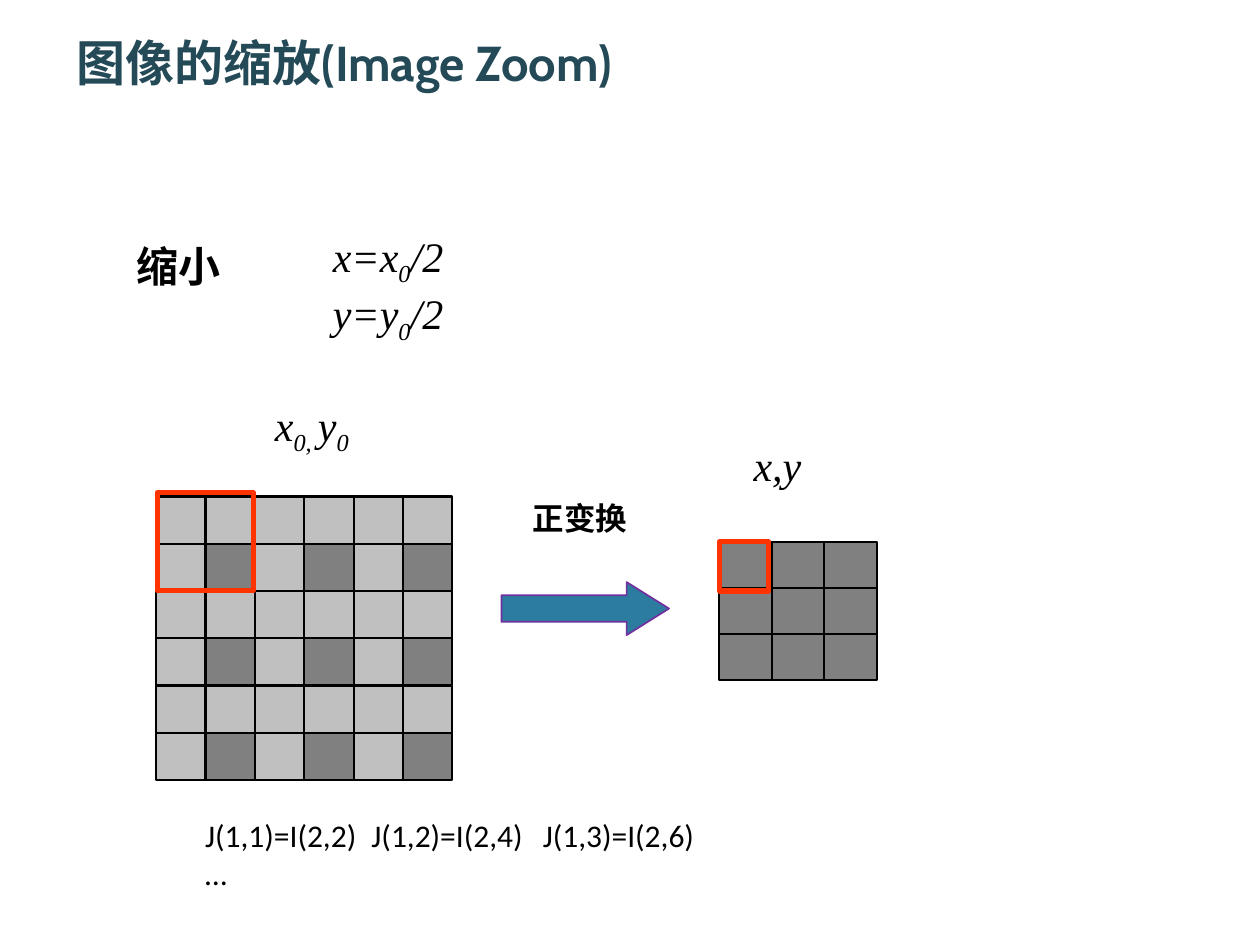
import dataclasses

import pptx
import pptx.dml.color
import pptx.enum.shapes
import pptx.enum.text
import pptx.oxml
import pptx.oxml.ns
import pptx.util

Inches = pptx.util.Inches
Align = pptx.enum.text.PP_ALIGN
Shape = pptx.enum.shapes.MSO_SHAPE

BLACK, LIGHT, DARK, RED = "000000", "C0C0C0", "808080", "FF3300"
SERIF = "Times New Roman"


@dataclasses.dataclass
class Area:
    left: float
    top: float
    width: float
    height: float

    def lengths(self):
        return [Inches(value) for value in dataclasses.astuple(self)]


@dataclasses.dataclass
class PixelGrid:
    area: Area
    count: int
    sampled_step: int  # every cell at a multiple of this step is dark


@dataclasses.dataclass
class Formula:
    area: Area
    lines: list[str]


def paint(color_format, color: str) -> None:
    color_format.rgb = pptx.dml.color.RGBColor.from_string(color)


def add_block(shapes, kind, area: Area, line: str, weight: float, fill: str | None = None):
    block = shapes.add_shape(kind, *area.lengths())
    block.shadow.inherit = False
    if fill:
        block.fill.solid()
        paint(block.fill.fore_color, fill)
    else:
        block.fill.background()
    paint(block.line.color, line)
    block.line.width = pptx.util.Pt(weight)
    return block


def draw_grid(page, grid: PixelGrid) -> None:
    group = page.shapes.add_group_shape()
    width = grid.area.width / grid.count
    height = grid.area.height / grid.count
    for row in range(grid.count):
        for column in range(grid.count):
            sampled = all((n + 1) % grid.sampled_step == 0 for n in (row, column))
            cell = Area(grid.area.left + column * width,
                        grid.area.top + row * height, width, height)
            add_block(group.shapes, Shape.RECTANGLE, cell, BLACK, 1.25,
                      DARK if sampled else LIGHT)
    if grid.sampled_step > 1:
        left, top, right = (Inches(value) for value in (
            grid.area.left, grid.area.top, grid.area.left + grid.area.width))
        edge = group.shapes.add_connector(
            pptx.enum.shapes.MSO_CONNECTOR.STRAIGHT, right, top, left, top)
        paint(edge.line.color, BLACK)
        edge.line.width = pptx.util.Pt(1.25)
        edge._element.spPr.append(pptx.oxml.parse_xml(
            f"<a:effectLst {pptx.oxml.ns.nsdecls('a')}/>"))


def write_text(box, lines: list[str], *, size: float, font: str, color: str = BLACK,
               bold: bool = False, italic: bool = False, align=Align.LEFT,
               wrap: bool = True, tabs: tuple[float, ...] = ()) -> None:
    """Fill a box; text between | marks is set as subscript."""
    frame = box.text_frame
    frame.word_wrap = wrap
    frame.auto_size = pptx.enum.text.MSO_AUTO_SIZE.NONE
    frame.vertical_anchor = pptx.enum.text.MSO_ANCHOR.TOP
    for number, line in enumerate(lines):
        para = frame.add_paragraph() if number else frame.paragraphs[0]
        if tabs:
            stops = "".join(f'<a:tab pos="{Inches(stop)}" algn="l"/>' for stop in tabs)
            para._p.get_or_add_pPr().append(pptx.oxml.parse_xml(
                f"<a:tabLst {pptx.oxml.ns.nsdecls('a')}>{stops}</a:tabLst>"))
        para.alignment = align
        for part, text in enumerate(line.split("|")):
            if not text:
                continue
            span = para.add_run()
            span.text = text
            span.font.size = pptx.util.Pt(size)
            span.font.name = font
            span.font.bold = bold
            span.font.italic = italic
            paint(span.font.color, color)
            if part % 2:
                span._r.get_or_add_rPr().set("baseline", "-25000")


def add_text(page, area: Area, lines: list[str], **style) -> None:
    write_text(page.shapes.add_textbox(*area.lengths()), lines, **style)


def main() -> None:
    deck = pptx.Presentation()
    deck.slide_width, deck.slide_height = Inches(10), Inches(7.5)
    page = deck.slides.add_slide(deck.slide_layouts[5])

    # Title
    title = page.shapes.title
    title.left, title.top, title.width, title.height = Area(0.51, 0.21, 8.35, 0.79).lengths()
    write_text(title, ["图像的缩放(Image Zoom)"], size=28, font="Cabin",
               color="244A58", bold=True)

    # Source pixels and reduced pixels
    source = PixelGrid(Area(1.24, 3.94, 2.35, 2.25), 6, 2)
    reduced = PixelGrid(Area(5.71, 4.3, 1.25, 1.1), 3, 1)
    for grid in (source, reduced):
        draw_grid(page, grid)

    # Matching areas in both grids
    for marker in (Area(1.25, 3.91, 0.76, 0.78), Area(5.71, 4.3, 0.39, 0.39)):
        add_block(page.shapes, Shape.RECTANGLE, marker, RED, 3)

    # Transform arrow
    arrow = add_block(page.shapes, Shape.RIGHT_ARROW, Area(3.98, 4.62, 1.33, 0.42),
                      "7030A0", 1, "2C7C9F")
    arrow.adjustments[0], arrow.adjustments[1] = 0.5, 0.8

    # Formulas
    for formula in (
        Formula(Area(2.24, 1.78, 1.68, 0.9), ["x=x|0|/2", "y=y|0|/2"]),
        Formula(Area(1.85, 3.12, 1.25, 0.5), ["x|0, |y|0|"]),
        Formula(Area(5.71, 3.44, 0.92, 0.5), ["x,y"]),
    ):
        add_text(page, formula.area, formula.lines, size=24, font=SERIF,
                 italic=True, align=Align.CENTER)

    # Labels
    add_text(page, Area(0.98, 1.86, 0.87, 0.5), ["缩小"], size=24, font=SERIF,
             bold=True, align=Align.CENTER, wrap=False)
    add_text(page, Area(4.13, 3.91, 1.02, 0.4), ["正变换"], size=18,
             font="Calibri", bold=True)

    # Sampling rule
    add_text(page, Area(1.53, 6.43, 4.13, 0.71),
             ["J(1,1)=I(2,2)\tJ(1,2)=I(2,4)\tJ(1,3)=I(2,6)", "…"],
             size=18, font="Calibri", wrap=False, tabs=(1.32, 2.68))

    deck.save("out.pptx")


if __name__ == "__main__":
    main()
